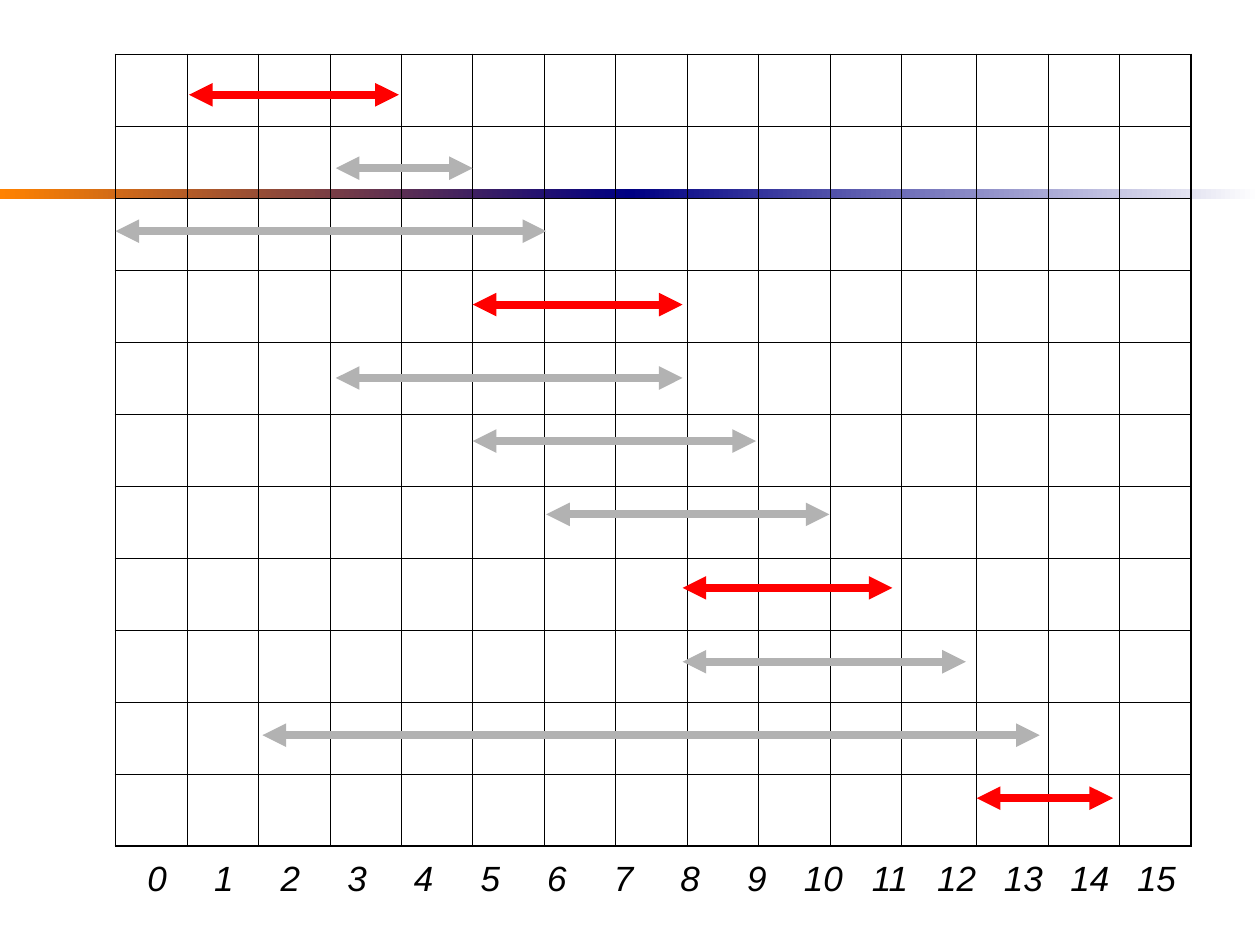
from dataclasses import dataclass

from lxml.etree import SubElement
from pptx import Presentation
from pptx.dml.color import RGBColor
from pptx.enum.shapes import MSO_CONNECTOR, MSO_SHAPE
from pptx.oxml import parse_xml
from pptx.oxml.ns import nsdecls, qn
from pptx.util import Cm, Pt


@dataclass(frozen=True)
class Theme:
    orange: str = "FF8200"
    navy: str = "000082"
    white: str = "FFFFFF"
    black: str = "000000"
    chosen: str = "FF0000"
    skipped: str = "B2B2B2"
    font: str = "Arial"
    label_size: float = 20
    arrow_width: float = 4.5
    inner_border: float = 0.45
    outer_border: float = 1.08


THEME = Theme()
ROWS, COLS = 11, 15
CELL_W, WIDE_COL, WIDE_W, CELL_H = 1.44, 11, 1.52, 1.45

# Start, end and height of each activity within the grid (cm), and whether it is chosen
ACTIVITIES = [
    (1.48, 5.71, 0.81, True),
    (4.44, 7.2, 2.29, False),
    (0, 8.68, 3.56, False),
    (7.2, 11.43, 5.04, True),
    (4.44, 11.43, 6.52, False),
    (7.2, 12.91, 7.79, False),
    (8.68, 14.39, 9.27, False),
    (11.43, 15.66, 10.75, True),
    (11.43, 17.14, 12.24, False),
    (2.96, 18.63, 13.72, False),
    (17.36, 20.11, 14.99, True),
]


def add_rule(s, left, top, width, height):
    """Draw the two-part gradient band across the slide."""
    half = width / 2
    pairs = [(THEME.orange, THEME.navy), (THEME.navy, THEME.white)]
    for i, colors in enumerate(pairs):
        sp = s.shapes.add_shape(MSO_SHAPE.RECTANGLE, Cm(left + i * half), Cm(top),
                                Cm(half), Cm(height))
        sp.shadow.inherit = False
        sp.line.fill.background()
        sp.fill.gradient()
        sp.fill.gradient_angle = 0
        for stop, color in zip(sp.fill.gradient_stops, colors):
            stop.color.rgb = RGBColor.from_string(color)


def set_borders(cell, widths):
    tcPr = cell._tc.get_or_add_tcPr()
    for i, (side, width) in enumerate(widths.items()):
        tcPr.insert(i, parse_xml(
            f'<a:ln{side} {nsdecls("a")} w="{Pt(width)}"><a:solidFill>'
            f'<a:srgbClr val="{THEME.black}"/></a:solidFill></a:ln{side}>'))


def add_grid(s, left, top, width, height):
    table = s.shapes.add_table(ROWS, COLS, Cm(left), Cm(top), Cm(width), Cm(height)).table
    table.first_row = table.horz_banding = False
    for c, column in enumerate(table.columns):
        column.width = Cm(WIDE_W if c == WIDE_COL else CELL_W)
    for r, row in enumerate(table.rows):
        row.height = Cm(CELL_H)
        for c, cell in enumerate(row.cells):
            cell.fill.background()
            outer = {"L": c == 0, "R": c == COLS - 1, "T": r == 0, "B": r == ROWS - 1}
            set_borders(cell, {side: THEME.outer_border if edge else THEME.inner_border
                               for side, edge in outer.items()})


def add_activities(s, left, top):
    for start, end, y, chosen in ACTIVITIES:
        arrow = s.shapes.add_connector(MSO_CONNECTOR.STRAIGHT, Cm(left + start), Cm(top + y),
                                       Cm(left + end), Cm(top + y))
        arrow.line.width = Pt(THEME.arrow_width)
        arrow.line.color.rgb = RGBColor.from_string(THEME.chosen if chosen else THEME.skipped)
        ln = arrow.line._get_or_add_ln()
        for tag in ("a:headEnd", "a:tailEnd"):
            SubElement(ln, qn(tag), type="triangle")
        SubElement(arrow._element.spPr, qn("a:effectLst"))


def add_time_labels(s, left, top, width, height):
    """Write the times 0 to 15 on one line, centred on evenly spaced tab stops."""
    first, pitch = 0.2, 1.343
    tf = s.shapes.add_textbox(Cm(left), Cm(top), Cm(width), Cm(height)).text_frame
    tf.word_wrap = True
    tf.margin_right = 0
    p = tf.paragraphs[0]
    tabs = SubElement(p._p.get_or_add_pPr(), qn("a:tabLst"))
    for i in range(1, COLS + 1):
        SubElement(tabs, qn("a:tab"), pos=str(Cm(first + i * pitch)), algn="ctr")
    r = p.add_run()
    r.text = "\t".join(str(time) for time in range(COLS + 1))
    formats = {"name": THEME.font, "size": Pt(THEME.label_size), "italic": True}
    for name, value in formats.items():
        setattr(r.font, name, value)
    r.font.color.rgb = RGBColor.from_string(THEME.black)


def main():
    prs = Presentation()
    prs.slide_width, prs.slide_height = Cm(25.4), Cm(19.05)
    s = prs.slides.add_slide(prs.slide_layouts[6])
    left, top = 2.33, 1.1
    add_rule(s, 0, 3.81, 25.4, 0.2)
    add_grid(s, left, top, (COLS - 1) * CELL_W + WIDE_W, ROWS * CELL_H)
    add_activities(s, left, top)
    add_time_labels(s, 2.72, 17.15, 21.34, 1.12)
    prs.save("out.pptx")


if __name__ == "__main__":
    main()
